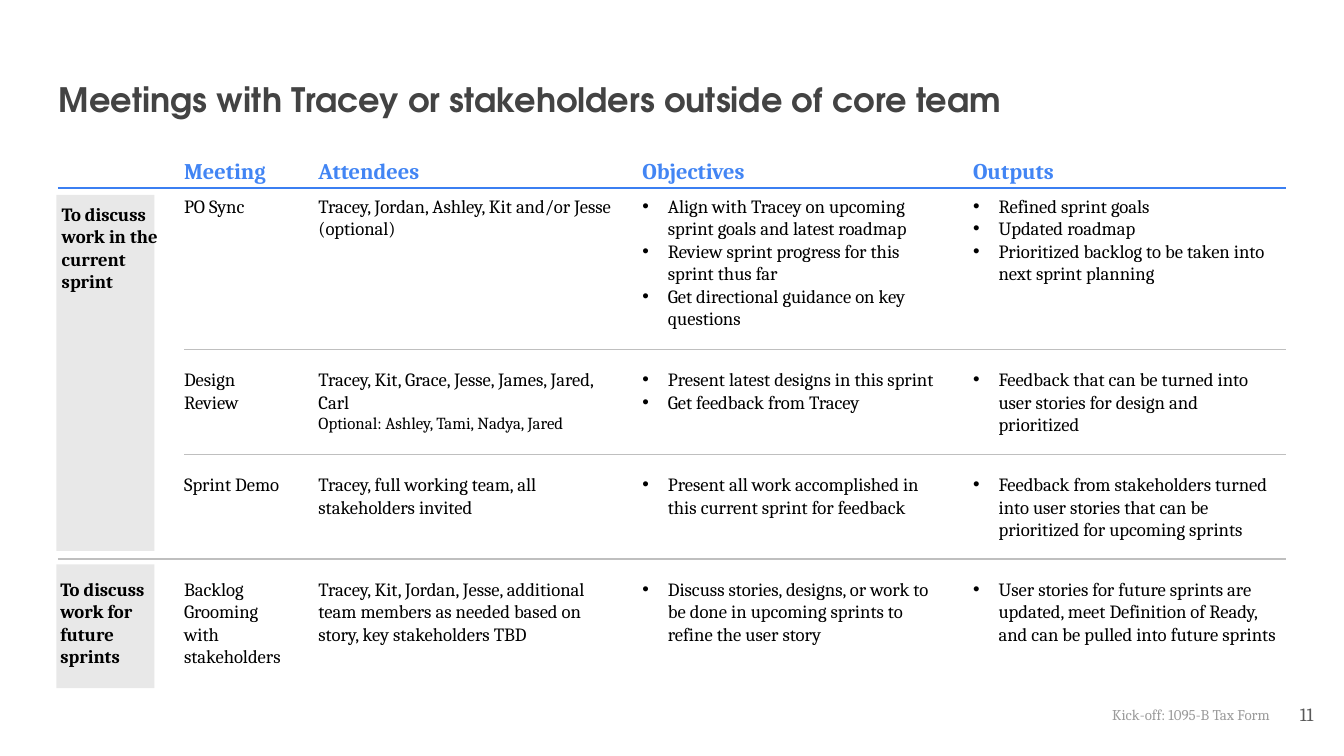
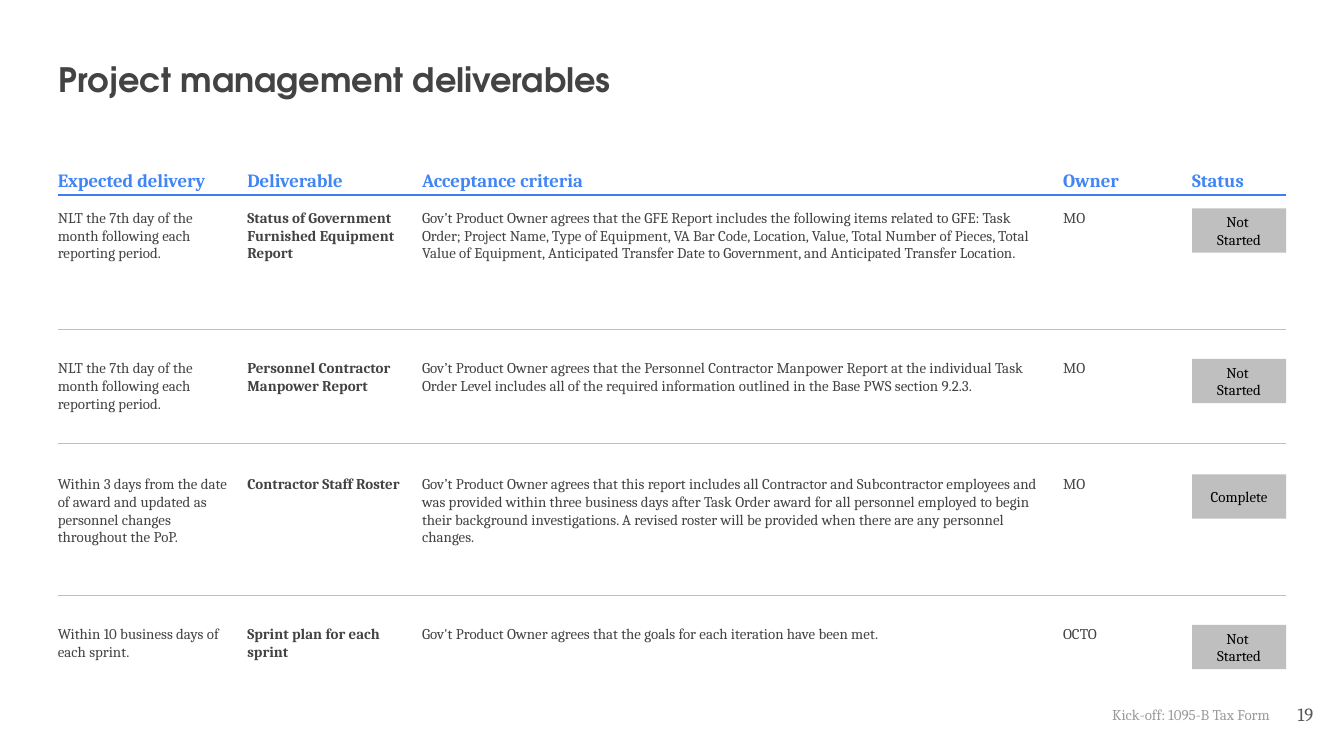
import dataclasses
import typing

import lxml.etree
import pptx
import pptx.dml.color
import pptx.enum.shapes
import pptx.enum.text
import pptx.oxml.ns
import pptx.slide
import pptx.util

Inches = pptx.util.Inches
Align = pptx.enum.text.PP_ALIGN
Anchor = pptx.enum.text.MSO_ANCHOR
qn = pptx.oxml.ns.qn

BODY_FONT = "Cambria"
TITLE_FONT = "TeX Gyre Adventor"
BLACK = "000000"
WHITE = "FFFFFF"
DARK_GRAY = "434343"
NUMBER_GRAY = "595959"
FOOTER_GRAY = "9B9B9B"
RULE_GRAY = "BFBFBF"
GROUP_GRAY = "E8E8E8"
HEADER_BLUE = "4285F4"
RULE_BLUE = "3B7FF2"

LEFT, RIGHT = 0.43, 9.57
BULLET_INDENT = 0.19
LINE_SPACING = 1.21


@dataclasses.dataclass(frozen=True)
class Area:
    left: float
    top: float
    width: float
    height: float


@dataclasses.dataclass(frozen=True)
class Style:
    size: float
    color: str
    bold: bool = False
    font: str = BODY_FONT
    align: Align = Align.LEFT
    anchor: Anchor = Anchor.TOP
    inset: float = 0
    grow: bool = True


@dataclasses.dataclass(frozen=True)
class Column:
    heading: str
    left: float
    width: float
    bold: bool = False


@dataclasses.dataclass(frozen=True)
class Cell:
    lines: int
    paragraphs: tuple[str, ...]
    bulleted: bool = False
    width: float | None = None
    last_size: float | None = None


@dataclasses.dataclass(frozen=True)
class Row:
    top: float
    cells: tuple[Cell, ...]
    status: str = ""


@dataclasses.dataclass(frozen=True)
class Group:
    area: Area
    label_left: float
    label_top: float
    label: str


@dataclasses.dataclass(frozen=True)
class Rule:
    top: float
    left: float = LEFT
    color: str = RULE_GRAY


TITLE = Style(18, DARK_GRAY, True, TITLE_FONT, inset=0.1, grow=False)
FOOTER = Style(8, FOOTER_GRAY, align=Align.RIGHT, inset=0.1, grow=False)
NUMBER = Style(10, NUMBER_GRAY, align=Align.RIGHT, anchor=Anchor.MIDDLE, inset=0.1, grow=False)
STATUS = Style(8, BLACK, align=Align.CENTER, anchor=Anchor.MIDDLE, grow=False)
MEETING_TEXT = Style(10, BLACK)
DELIVERABLE_TEXT = Style(8, DARK_GRAY)

MEETING_COLUMNS = (
    Column("Meeting", 1.37, 0.8),
    Column("Attendees", 2.37, 2.26),
    Column("Objectives", 4.78, 2.26),
    Column("Outputs", 7.24, 2.26),
)
MEETINGS = (
    Row(1.45, (
        Cell(1, ("PO Sync",)),
        Cell(2, ("Tracey, Jordan, Ashley, Kit and/or Jesse (optional)",)),
        Cell(6, ("Align with Tracey on upcoming sprint goals and latest roadmap",
                 "Review sprint progress for this sprint thus far",
                 "Get directional guidance on key questions"), True),
        Cell(4, ("Refined sprint goals", "Updated roadmap",
                 "Prioritized backlog to be taken into next sprint planning"), True),
    )),
    Row(2.74, (
        Cell(2, ("Design Review",)),
        Cell(2, ("Tracey, Kit, Grace, Jesse, James, Jared, Carl",
                 "Optional: Ashley, Tami, Nadya, Jared"), last_size=9),
        Cell(3, ("Present latest designs in this sprint", "Get feedback from Tracey"), True),
        Cell(3, ("Feedback that can be turned into user stories for design and prioritized",), True),
    )),
    Row(3.52, (
        Cell(1, ("Sprint Demo",)),
        Cell(2, ("Tracey, full working team, all stakeholders invited",)),
        Cell(2, ("Present all work accomplished in this current sprint for feedback",), True),
        Cell(3, ("Feedback from stakeholders turned into user stories that can be "
                 "prioritized for upcoming sprints",), True, width=2.35),
    )),
    Row(4.3, (
        Cell(4, ("Backlog Grooming with stakeholders",)),
        Cell(3, ("Tracey, Kit, Jordan, Jesse, additional team members as needed based on "
                 "story, key stakeholders TBD",)),
        Cell(3, ("Discuss stories, designs, or work to be done in upcoming sprints to "
                 "refine the user story",), True),
        Cell(4, ("User stories for future sprints are updated, meet Definition of Ready, "
                 "and can be pulled into future sprints",), True),
    )),
)
MEETING_GROUPS = (
    Group(Area(0.42, 1.45, 0.73, 2.65), 0.46, 1.51, "To discuss work in the current sprint"),
    Group(Area(0.42, 4.2, 0.73, 0.92), 0.45, 4.3, "To discuss work for future sprints"),
)
MEETING_RULES = (Rule(1.4, color=RULE_BLUE), Rule(2.6, 1.37), Rule(3.38, 1.37), Rule(4.16))

STATUS_COLUMN = Column("Status", 8.87, 0.7)
DELIVERABLE_COLUMNS = (
    Column("Expected delivery", LEFT, 1.29),
    Column("Deliverable", 1.84, 1.18, bold=True),
    Column("Acceptance criteria", 3.14, 4.65),
    Column("Owner", 7.91, 0.83),
)
MONTHLY = Cell(3, ("NLT the 7th day of the month following each reporting period.",))
MO = Cell(1, ("MO",))
NOT_STARTED = "Not \vStarted"
DELIVERABLES = (
    Row(1.55, (
        MONTHLY,
        Cell(3, ("Status of Government Furnished Equipment Report",)),
        Cell(4, ("Gov’t Product Owner agrees that the GFE Report includes the following items "
                 "related to GFE: Task Order; Project Name, Type of Equipment, VA Bar Code, "
                 "Location, Value, Total Number of Pieces, Total Value of Equipment, Anticipated "
                 "Transfer Date to Government, and Anticipated Transfer Location.",)),
        MO,
    ), NOT_STARTED),
    Row(2.67, (
        MONTHLY,
        Cell(2, ("Personnel Contractor Manpower Report",)),
        Cell(3, ("Gov’t Product Owner agrees that the Personnel Contractor Manpower Report at "
                 "the individual Task Order Level includes all of the required information "
                 "outlined in the Base PWS section 9.2.3.",)),
        MO,
    ), NOT_STARTED),
    Row(3.53, (
        Cell(5, ("Within 3 days from the date of award and updated as personnel changes "
                 "throughout the PoP.",)),
        Cell(2, ("Contractor Staff Roster",)),
        Cell(4, ("Gov’t Product Owner agrees that this report includes all Contractor and "
                 "Subcontractor employees and was provided within three business days after "
                 "Task Order award for all personnel employed to begin their background "
                 "investigations. A revised roster will be provided when there are any "
                 "personnel changes.",)),
        MO,
    ), "Complete"),
    Row(4.65, (
        Cell(2, ("Within 10 business days of each sprint.",)),
        Cell(2, ("Sprint plan for each sprint",)),
        Cell(1, ("Gov't Product Owner agrees that the goals for each iteration have been met.",)),
        Cell(1, ("OCTO",)),
    ), NOT_STARTED),
)
DELIVERABLE_RULES = (Rule(1.45, color=RULE_BLUE), Rule(2.45), Rule(3.3), Rule(4.43))


def rgb(color: str) -> pptx.dml.color.RGBColor:
    return pptx.dml.color.RGBColor.from_string(color)


def text_height(lines: int, size: float) -> float:
    return round(lines * size * LINE_SPACING / 72, 2)


def add_bullet(para: typing.Any) -> None:
    properties = para._p.get_or_add_pPr()
    properties.set("marL", str(Inches(BULLET_INDENT)))
    properties.set("indent", str(-Inches(BULLET_INDENT)))
    bullet_color = lxml.etree.SubElement(properties, qn("a:buClr"))
    lxml.etree.SubElement(bullet_color, qn("a:srgbClr"), val=BLACK)
    lxml.etree.SubElement(properties, qn("a:buFont"), typeface="Arial")
    lxml.etree.SubElement(properties, qn("a:buChar"), char="•")


def add_box(page: pptx.slide.Slide, area: Area, fill: str | None = None) -> typing.Any:
    """Add a filled rectangle, or a text box when there is no fill."""
    place = [Inches(length) for length in dataclasses.astuple(area)]
    if fill is None:
        return page.shapes.add_textbox(*place)
    box = page.shapes.add_shape(pptx.enum.shapes.MSO_SHAPE.RECTANGLE, *place)
    box.shadow.inherit = False
    box.fill.solid()
    box.fill.fore_color.rgb = rgb(fill)
    box.line.fill.background()
    return box


def add_text(page: pptx.slide.Slide, area: Area, style: Style, paragraphs: tuple[str, ...],
             fill: str | None = None, bulleted: bool = False,
             last_size: float | None = None) -> None:
    """Write paragraphs in a box; a vertical tab in the text breaks the line."""
    frame = add_box(page, area, fill).text_frame
    frame.word_wrap = True
    auto_size = pptx.enum.text.MSO_AUTO_SIZE
    frame.auto_size = auto_size.SHAPE_TO_FIT_TEXT if style.grow else auto_size.NONE
    frame.vertical_anchor = style.anchor
    frame.margin_left = frame.margin_right = Inches(style.inset)
    frame.margin_top = frame.margin_bottom = Inches(style.inset)
    for index, text in enumerate(paragraphs):
        para = frame.add_paragraph() if index else frame.paragraphs[0]
        para.alignment = style.align
        if bulleted:
            add_bullet(para)
        is_last = index == len(paragraphs) - 1
        size = last_size if last_size and is_last else style.size
        for part_index, part in enumerate(text.split("\v")):
            if part_index:
                para.add_line_break()
            span = para.add_run()
            span.text = part
            span.font.name = style.font
            span.font.size = pptx.util.Pt(size)
            span.font.bold = style.bold
            span.font.color.rgb = rgb(style.color)


def add_rule(page: pptx.slide.Slide, rule: Rule) -> None:
    line = page.shapes.add_connector(
        pptx.enum.shapes.MSO_CONNECTOR.STRAIGHT,
        Inches(rule.left), Inches(rule.top), Inches(RIGHT), Inches(rule.top))
    line.line.color.rgb = rgb(rule.color)
    line.line.width = pptx.util.Pt(0.75)
    lxml.etree.SubElement(line._element.spPr, qn("a:effectLst"))


def add_page(deck: typing.Any, title: str, title_area: Area, number: int,
             number_area: Area) -> pptx.slide.Slide:
    page = deck.slides.add_slide(deck.slide_layouts[6])
    add_text(page, title_area, TITLE, (title,))
    add_text(page, number_area, NUMBER, (str(number),))
    add_text(page, Area(8.02, 5.15, 1.53, 0.39), FOOTER, ("Kick-off: 1095-B Tax Form",))
    return page


def add_headings(page: pptx.slide.Slide, columns: tuple[Column, ...], top: float,
                 size: float) -> None:
    style = Style(size, HEADER_BLUE, True, anchor=Anchor.BOTTOM)
    for column in columns:
        area = Area(column.left, top, column.width, text_height(1, size))
        add_text(page, area, style, (column.heading,))


def add_rows(page: pptx.slide.Slide, columns: tuple[Column, ...], rows: tuple[Row, ...],
             style: Style) -> None:
    for row in rows:
        for column, cell in zip(columns, row.cells):
            area = Area(column.left, row.top, cell.width or column.width,
                        text_height(cell.lines, style.size))
            add_text(page, area, dataclasses.replace(style, bold=column.bold),
                     cell.paragraphs, WHITE, cell.bulleted, cell.last_size)
        if row.status:
            area = Area(STATUS_COLUMN.left, row.top, STATUS_COLUMN.width, 0.33)
            add_text(page, area, STATUS, (row.status,), RULE_GRAY)


def add_meetings(deck: typing.Any) -> None:
    page = add_page(deck, "Meetings with Tracey or stakeholders outside of core team",
                    Area(0.34, 0.49, 9.48, 0.63), 11, Area(9.27, 5.1, 0.6, 0.43))
    label_style = dataclasses.replace(MEETING_TEXT, bold=True)
    for group in MEETING_GROUPS:
        add_box(page, group.area, GROUP_GRAY)
        label_area = Area(group.label_left, group.label_top, group.area.width,
                          text_height(4, label_style.size))
        add_text(page, label_area, label_style, (group.label,))
    add_headings(page, MEETING_COLUMNS, 1.17, 12)
    add_rows(page, MEETING_COLUMNS, MEETINGS, MEETING_TEXT)
    for rule in MEETING_RULES:
        add_rule(page, rule)


def add_deliverables(deck: typing.Any) -> None:
    page = add_page(deck, "Project management deliverables",
                    Area(0.34, 0.34, 9.32, 0.63), 19, Area(9.27, 5.13, 0.6, 0.37))
    add_headings(page, (*DELIVERABLE_COLUMNS, STATUS_COLUMN), 1.25, 10)
    add_rows(page, DELIVERABLE_COLUMNS, DELIVERABLES, DELIVERABLE_TEXT)
    for rule in DELIVERABLE_RULES:
        add_rule(page, rule)


def main() -> None:
    deck = pptx.Presentation()
    deck.slide_width = Inches(10)
    deck.slide_height = deck.slide_width * 9 // 16
    add_meetings(deck)
    add_deliverables(deck)
    deck.save("out.pptx")


if __name__ == "__main__":
    main()
